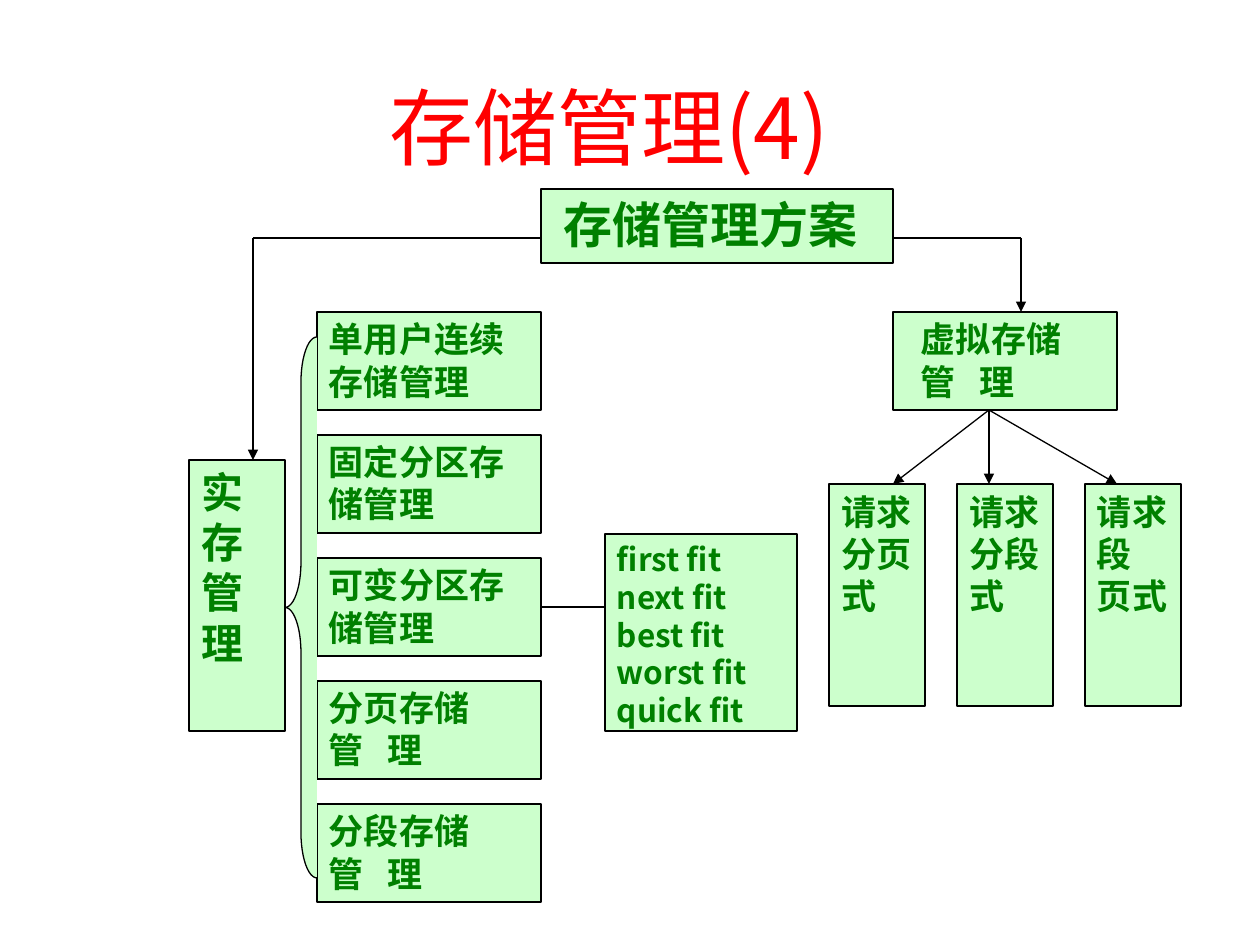
from dataclasses import dataclass

from lxml import etree
from pptx import Presentation
from pptx import util as u
from pptx.dml.color import RGBColor
from pptx.enum import shapes, text
from pptx.oxml.ns import qn

PX = 914400 / 126  # EMU in one px


@dataclass(frozen=True)
class Theme:
    font: str = "Noto Sans CJK SC"
    title: RGBColor = RGBColor(0xFF, 0x00, 0x00)
    label: RGBColor = RGBColor(0x00, 0x80, 0x00)
    fill: RGBColor = RGBColor(0xCC, 0xFF, 0xCC)
    line: RGBColor = RGBColor(0x00, 0x00, 0x00)
    title_size: int = 48
    root_size: int = 28
    branch_size: int = 24
    body_size: int = 20
    list_size: int = 18
    line_width: float = 0.75


theme = Theme()


def write(shape, lines, size, color, bold, align, tab=59):
    """Fill a shape with one paragraph per line; a tab spreads two characters."""
    frame = shape.text_frame
    frame.word_wrap = True
    for index, line in enumerate(lines):
        paragraph = frame.add_paragraph() if index else frame.paragraphs[0]
        paragraph.text = line
        paragraph.alignment = align
        properties = paragraph._p.get_or_add_pPr()
        if "\t" in line:
            stops = etree.SubElement(properties, qn("a:tabLst"))
            etree.SubElement(stops, qn("a:tab"), pos=str(round(tab * PX)), algn="l")
        paragraph.font.size = u.Pt(size)
        paragraph.font.bold = bold
        paragraph.font.color.rgb = color
        paragraph.font.name = theme.font
        defaults = properties.find(qn("a:defRPr"))
        etree.SubElement(defaults, qn("a:ea"), typeface=theme.font)


def add_filled(kind, left, top, width, height):
    shape = slide.shapes.add_shape(
        kind, *(round(n * PX) for n in (left, top, width, height)))
    shape.shadow.inherit = False
    shape.fill.solid()
    shape.fill.fore_color.rgb = theme.fill
    shape.line.color.rgb = theme.line
    shape.line.width = u.Pt(theme.line_width)
    return shape


presentation = Presentation()
presentation.slide_width = u.Inches(10)
presentation.slide_height = u.Inches(7.5)
slide = presentation.slides.add_slide(presentation.slide_layouts[5])

# Title
title = slide.shapes.title
title.left, title.top, title.width, title.height = (
    round(n * PX) for n in (84, 73, 1050, 105))
title.text_frame.vertical_anchor = text.MSO_ANCHOR.MIDDLE
write(title, ["存储管理(4)"], theme.title_size, theme.title, False,
      text.PP_ALIGN.CENTER)

# Boxes: left, top, width, height, size, left inset, lines
boxes = [
    (541, 189, 352, 74, theme.root_size, 23, ["存储管理方案"]),
    (189, 460, 96, 271, theme.branch_size, 12, list("实存管理")),
    (893, 312, 224, 98, theme.body_size, 28, ["虚拟存储", "管\t理"]),
    (605, 534, 192, 197, theme.list_size, 12,
     ["first fit", "next fit", "best fit", "worst fit", "quick fit"]),
]
real_schemes = [["单用户连续存储管理"], ["固定分区存储管理"], ["可变分区存储管理"],
                ["分页存储", "管\t理"], ["分段存储", "管\t理"]]
for row, lines in enumerate(real_schemes):
    boxes.append((317, 312 + 123 * row, 224, 98, theme.body_size, 12, lines))
virtual_schemes = [["请求分页式"], ["请求分段式"], ["请求段", "页式"]]
for column, lines in enumerate(virtual_schemes):
    boxes.append((829 + 128 * column, 484, 96, 222, theme.body_size, 12, lines))

for left, top, width, height, size, inset, lines in boxes:
    box = add_filled(shapes.MSO_SHAPE.RECTANGLE, left, top, width, height)
    frame = box.text_frame
    frame.vertical_anchor = text.MSO_ANCHOR.TOP
    frame.margin_left = round(inset * PX)
    frame.margin_right = round(12 * PX)
    frame.margin_top = frame.margin_bottom = round(6 * PX)
    write(box, lines, size, theme.label, True, text.PP_ALIGN.LEFT)

# Brace joining the real storage schemes
brace = add_filled(shapes.MSO_SHAPE.LEFT_BRACE, 285, 337, 32, 541)
brace.adjustments[0] = 1.41

# Lines: from x, from y, to x, to y, arrowhead
links = [
    (541, 607, 605, 607, False),
    (253, 238, 541, 238, False),
    (893, 238, 1021, 238, False),
    (253, 238, 253, 460, True),
    (1021, 238, 1021, 312, True),
    (989, 410, 893, 484, True),
    (989, 410, 989, 484, True),
    (989, 410, 1117, 484, True),
]
for *ends, arrow in links:
    link = slide.shapes.add_connector(
        shapes.MSO_CONNECTOR.STRAIGHT, *(round(n * PX) for n in ends))
    link.line.color.rgb = theme.line
    link.line.width = u.Pt(theme.line_width)
    if arrow:
        etree.SubElement(link.line._get_or_add_ln(), qn("a:tailEnd"), type="triangle")
    etree.SubElement(link._element.spPr, qn("a:effectLst"))

presentation.save("out.pptx")
